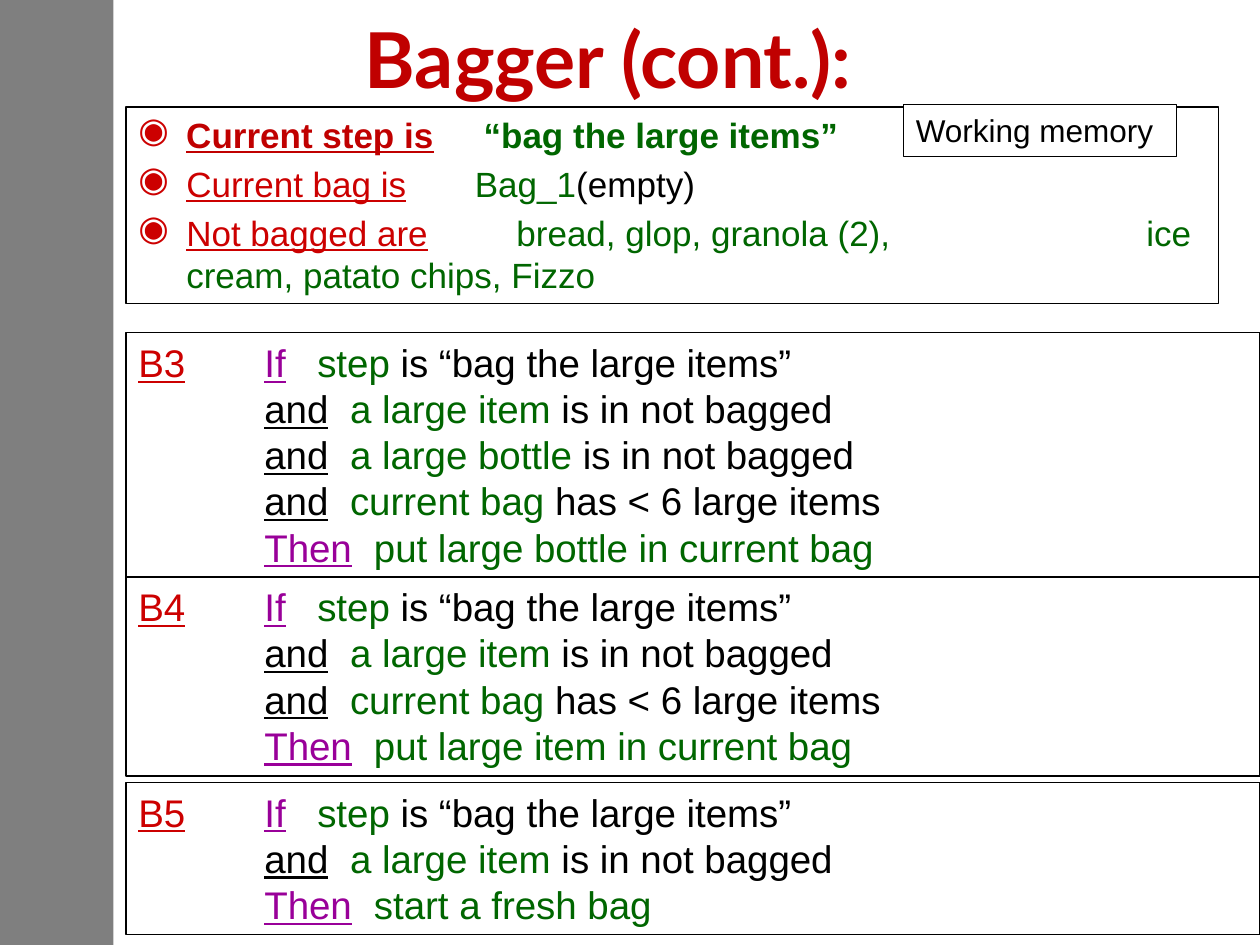
from lxml.etree import SubElement as Sub
from pptx import Presentation
from pptx.dml.color import RGBColor as RGB
from pptx.enum.shapes import MSO_SHAPE as Shape
from pptx.enum.text import MSO_ANCHOR as Anchor, PP_ALIGN as Align
from pptx.oxml.ns import qn
from pptx.util import Inches, Pt

BLACK = RGB(0, 0, 0)
WHITE = RGB(255, 255, 255)
BRICK = RGB(0xC0, 0, 0)
RED = RGB(0xCC, 0, 0)
GREEN = RGB(0, 0x66, 0)
PLUM = RGB(0x99, 0, 0x99)

CELL = Inches(1)
COLS, ROWS = 10, 7.5
LEFT = 1
LINE = 0.37
PAD = 0.1

STEP = [("step", GREEN), (" is “bag the large items”", BLACK)]
ITEM = [("a large item", GREEN), (" is in not bagged", BLACK)]
FLASK = [("a large bottle", GREEN), (" is in not bagged", BLACK)]
ROOM = [("current bag", GREEN), (" has < 6 large items", BLACK)]

RULES = [
    ("B3", 2.64, [ITEM, FLASK, ROOM], "put large bottle in current bag"),
    ("B4", 4.58, [ITEM, ROOM], "put large item in current bag"),
    ("B5", 6.21, [ITEM], "start a fresh bag"),
]
FACTS = [
    ("Current step is", [("“bag the large items”", GREEN)], [2.74], BRICK, True),
    ("Current bag is", [("Bag_1", GREEN), ("(empty)", BLACK)], [2.67], RED, False),
    ("Not bagged are",
     [("bread, glop, granola (2),\tice cream, patato chips, Fizzo", GREEN)],
     [3, 8], RED, False),
]
WORDS = {"If": (PLUM, 1.42), "and": (BLACK, 1.68), "Then": (PLUM, 1.87)}


def grid(*cells):
    return [int(CELL * n) for n in cells]


def add_box(slide, *cells):
    box = slide.shapes.add_shape(Shape.RECTANGLE, *grid(*cells))
    box.shadow.inherit = False
    box.fill.solid()
    box.fill.fore_color.rgb = WHITE
    box.line.color.rgb = BLACK
    box.line.width = Pt(0.75)
    frame = box.text_frame
    frame.word_wrap = True
    frame.vertical_anchor = Anchor.TOP
    return box


def add_side(slide):
    bar = add_box(slide, 0, 0, 0.9, ROWS)
    bar.line.fill.background()
    bar.fill.fore_color.rgb = BLACK
    tint = bar.fill._xPr.find(qn("a:solidFill"))[0]
    Sub(tint, qn("a:alpha"), val="50000")


def set_title(slide, text):
    title = slide.shapes.title
    title.left, title.top, title.width, title.height = grid(0.58, 0.08, 8.5, 0.75)
    frame = title.text_frame
    frame.text = text
    frame.vertical_anchor = Anchor.MIDDLE
    para = frame.paragraphs[0]
    para.alignment = Align.CENTER
    style(para.runs[0], 44, BRICK, bold=True, face="Lato")


def style(run, size, color, under=False, bold=False, face="Arial"):
    font = run.font
    font.name, font.size, font.bold = face, Pt(size), bold
    font.underline = under
    font.color.rgb = color


def add_run(para, text, *look, **more):
    run = para.add_run()
    run.text = text
    style(run, *look, **more)


def next_para(frame):
    first = frame.paragraphs[0]
    para = frame.add_paragraph() if first.runs else first
    para.alignment = Align.LEFT
    return para


def set_tabs(para, stops):
    tabs = Sub(para._p.get_or_add_pPr(), qn("a:tabLst"))
    for stop in stops:
        Sub(tabs, qn("a:tab"), pos=str(int(CELL * stop)), algn="l")


def set_dot(para):
    para.space_before = Pt(4)
    props = para._p.get_or_add_pPr()
    props.set("marL", str(Inches(0.38)))
    props.set("indent", str(-Inches(0.38)))
    Sub(Sub(props, qn("a:buClr")), qn("a:srgbClr"), val=str(RED))
    Sub(props, qn("a:buChar"), char="◉")


def add_fact(frame, name, parts, stops, color, bold):
    para = next_para(frame)
    set_dot(para)
    set_tabs(para, stops)
    add_run(para, name, 20, color, under=True, bold=bold)
    add_run(para, "\t", 20, color)
    for text, hue in parts:
        add_run(para, text, 20, hue, bold=bold)


def add_facts(slide):
    top = add_box(slide, LEFT, 0.85, 8.67, 1.56)
    add_fact(top.text_frame, *FACTS[0])
    label = add_box(slide, 7.17, 0.83, 2.17, 0.41).text_frame
    label.word_wrap = False
    add_run(next_para(label), "Working memory", 18, BLACK)
    rest = slide.shapes.add_textbox(*grid(LEFT, 1.24, 8.58, 1.17)).text_frame
    rest.word_wrap = True
    for fact in FACTS[1:]:
        add_fact(rest, *fact)


def add_rule(slide, name, top, tests, act):
    lines = [("If", STEP)] + [("and", test) for test in tests]
    lines.append(("Then", [(act, GREEN)]))
    high = PAD + LINE * len(lines)
    frame = add_box(slide, LEFT, top, COLS - LEFT, high).text_frame
    for word, parts in lines:
        para = next_para(frame)
        color, stop = WORDS[word]
        set_tabs(para, [1, stop])
        if word == "If":
            add_run(para, name, 22, RED, under=True)
        add_run(para, "\t", 22, color)
        add_run(para, word, 22, color, under=True)
        add_run(para, "\t", 22, color)
        for text, hue in parts:
            add_run(para, text, 22, hue)


def main():
    deck = Presentation()
    deck.slide_width, deck.slide_height = grid(COLS, ROWS)
    slide = deck.slides.add_slide(deck.slide_layouts[5])
    add_side(slide)
    set_title(slide, "Bagger (cont.):")
    add_facts(slide)
    for rule in RULES:
        add_rule(slide, *rule)
    deck.save("out.pptx")


if __name__ == "__main__":
    main()
